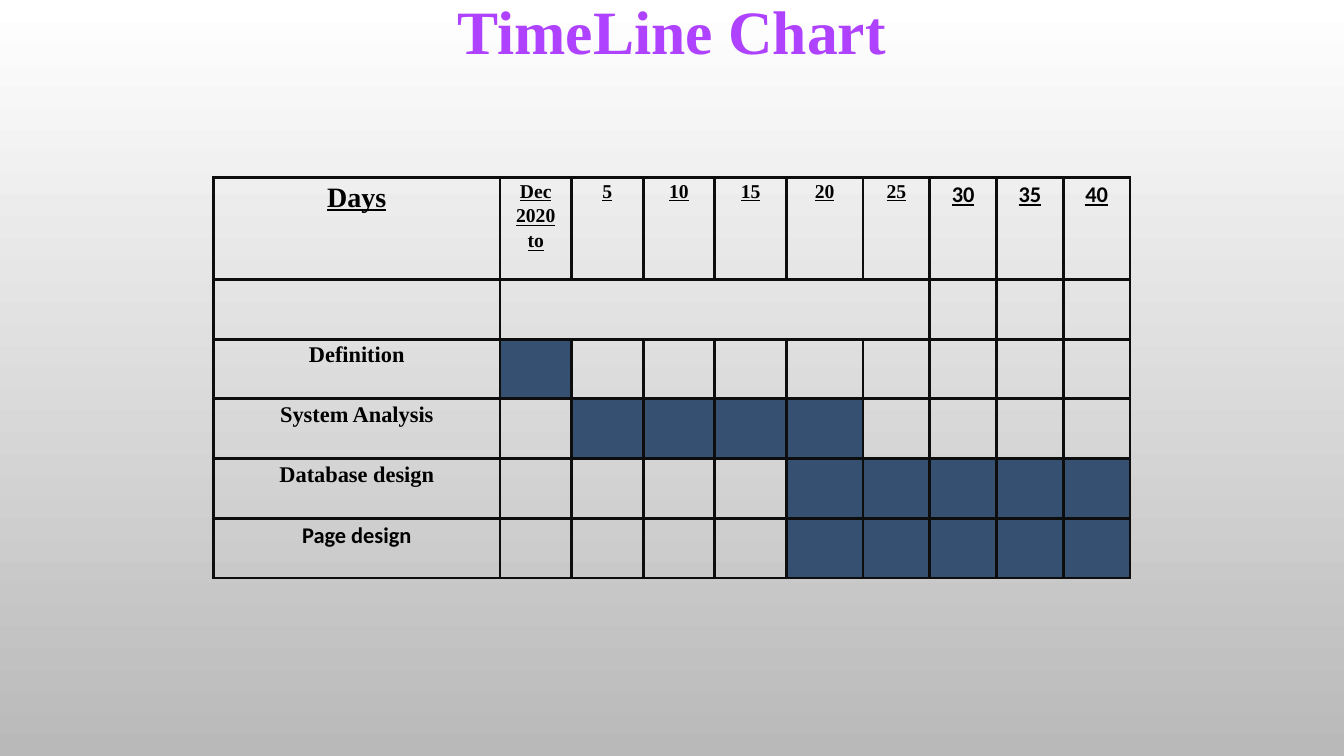
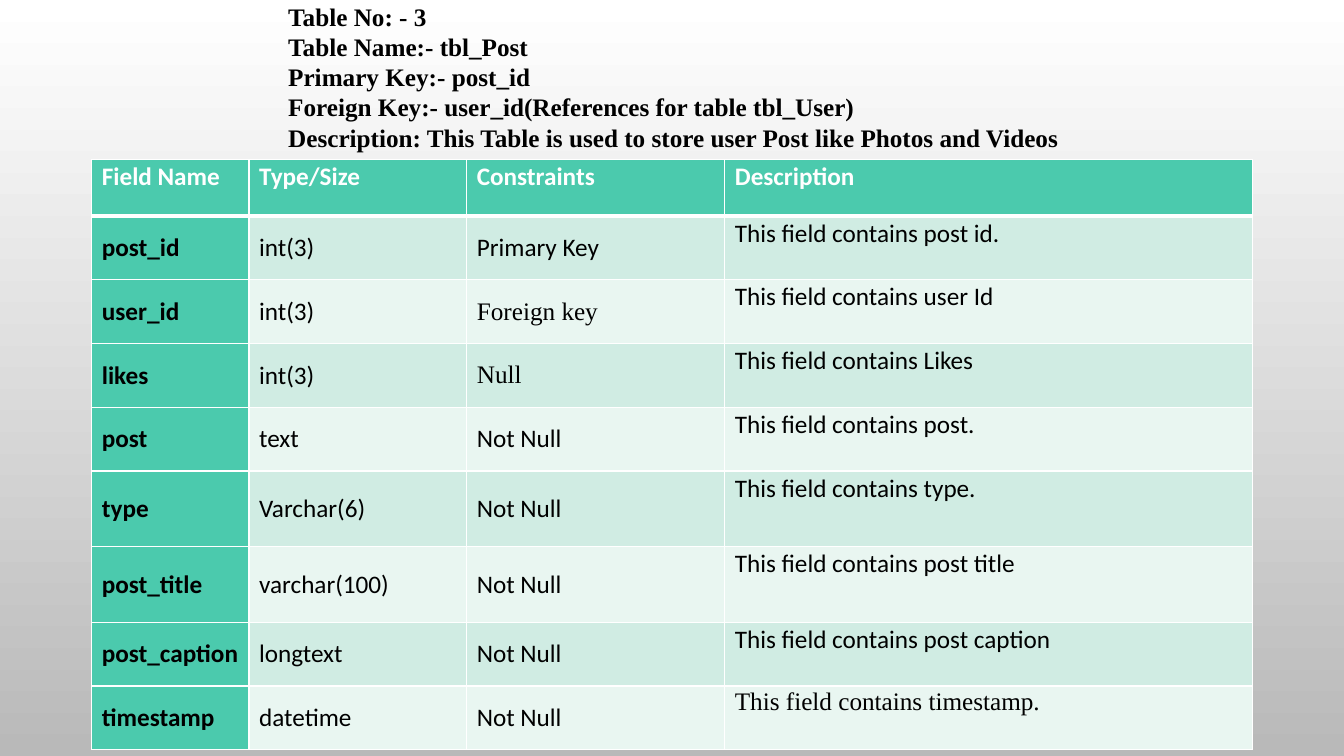
import dataclasses
import typing

import pptx
import pptx.dml.color
import pptx.enum.text
import pptx.oxml
import pptx.oxml.ns
import pptx.util

SLIDE_WIDTH = pptx.util.Inches(13.33)
SLIDE_HEIGHT = pptx.util.Inches(7.5)
SERIF = "Times New Roman"
SANS = "Calibri"
COLOURS = {
    "sky": "FFFFFF",
    "ground": "B9B9B9",
    "title": "AE42FF",
    "ink": "000000",
    "grid": "0D0D0D",
    "busy": "355071",
    "white": "FFFFFF",
    "key": "4BCAAD",
    "odd": "D0ECE3",
    "even": "E9F6F1",
}
CENTRE = pptx.enum.text.PP_ALIGN.CENTER
MIDDLE = pptx.enum.text.MSO_ANCHOR.MIDDLE


@dataclasses.dataclass(frozen=True)
class Style:
    size: int
    name: str = SERIF
    bold: bool = True
    underline: bool = False
    colour: str = "ink"
    paragraph: dict = dataclasses.field(default_factory=dict)
    cell: dict = dataclasses.field(default_factory=dict)


@dataclasses.dataclass(frozen=True)
class Entry:
    text: str = ""
    style: typing.Optional[Style] = None
    fill: typing.Optional[str] = None


@dataclasses.dataclass(frozen=True)
class Frame:
    left: float
    top: float
    width: float = 0
    height: float = 0


def across(percent: float) -> int:
    return round(SLIDE_WIDTH * percent / 100)


def down(percent: float) -> int:
    return round(SLIDE_HEIGHT * percent / 100)


def rgb(colour: str) -> pptx.dml.color.RGBColor:
    return pptx.dml.color.RGBColor.from_string(COLOURS[colour])


def apply(target, values: dict) -> None:
    for attribute, value in values.items():
        setattr(target, attribute, value)


def write(paragraph, text: str, style: Style) -> None:
    apply(paragraph, style.paragraph)
    run = paragraph.add_run()
    run.text = text
    apply(run.font, {
        "size": pptx.util.Pt(style.size),
        "name": style.name,
        "bold": style.bold,
        "underline": style.underline,
    })
    run.font.color.rgb = rgb(style.colour)


def add_heading(slide, frame: Frame, lines: list[str], style: Style) -> None:
    heading = slide.shapes.add_textbox(
        across(frame.left), down(frame.top), across(frame.width), down(frame.height))
    text_frame = heading.text_frame
    apply(text_frame, {
        "word_wrap": True,
        "auto_size": pptx.enum.text.MSO_AUTO_SIZE.SHAPE_TO_FIT_TEXT,
    })
    for index, line in enumerate(lines):
        paragraph = text_frame.add_paragraph() if index else text_frame.paragraphs[0]
        write(paragraph, line, style)


def add_border(cell, colour: str, widths: dict[str, float]) -> None:
    properties = cell._tc.get_or_add_tcPr()
    for side, width in widths.items():
        properties.append(pptx.oxml.parse_xml(
            f'<a:ln{side} {pptx.oxml.ns.nsdecls("a")} w="{pptx.util.Pt(width)}">'
            f'<a:solidFill><a:srgbClr val="{COLOURS[colour]}"/></a:solidFill>'
            f'</a:ln{side}>'))


def borders(width: float, bottom: float) -> dict[str, float]:
    return {"L": width, "R": width, "T": width, "B": bottom}


def add_grid(slide, corner: Frame, columns: list[float], rows: list[float],
             entries: list[list[Entry]], line: str, width: float,
             header_line: float):
    table = slide.shapes.add_table(
        len(rows), len(columns), across(corner.left), down(corner.top),
        across(sum(columns)), down(sum(rows))).table
    apply(table, {"first_row": False, "horz_banding": False})
    for column, share in zip(table.columns, columns):
        column.width = across(share)
    for row, share in zip(table.rows, rows):
        row.height = down(share)
    for row_index, row_entries in enumerate(entries):
        bottom = width if row_index else header_line
        top = header_line if row_index == 1 else width
        for column_index, entry in enumerate(row_entries):
            cell = table.cell(row_index, column_index)
            add_border(cell, line, borders(width, bottom) | {"T": top})
            if entry.fill:
                cell.fill.solid()
                cell.fill.fore_color.rgb = rgb(entry.fill)
            else:
                cell.fill.background()
            if entry.style:
                apply(cell, entry.style.cell)
                write(cell.text_frame.paragraphs[0], entry.text, entry.style)
    return table


def flush(side: float) -> dict:
    inset = pptx.util.Inches(side)
    return {"margin_left": inset, "margin_right": inset,
            "margin_top": 0, "margin_bottom": 0}


TASK = Style(16, paragraph={"alignment": CENTRE, "line_spacing": 1.15},
             cell=flush(0.07))
DAYS = dataclasses.replace(TASK, size=20, underline=True)
EARLY_DAY = dataclasses.replace(DAYS, size=14)
LATE_DAY = dataclasses.replace(DAYS, size=16, name=SANS)
NOTE = Style(18, SANS, False, cell=flush(0.1),
             paragraph={"line_spacing": 1.07, "space_after": pptx.util.Pt(8)})
FIELD_HEADER = dataclasses.replace(NOTE, bold=True, colour="white")
VALUE = Style(18, SANS, False, cell={"vertical_anchor": MIDDLE})
FIELD = dataclasses.replace(VALUE, bold=True)

EARLY_DAYS = ["Dec 2020 to", "5", "10", "15", "20", "25"]
LATE_DAYS = ["30", "35", "40"]
PERIODS = len(EARLY_DAYS + LATE_DAYS)
TASKS = [
    ("Definition", SERIF, range(0, 1)),
    ("System Analysis", SERIF, range(1, 5)),
    ("Database design", SERIF, range(4, 9)),
    ("Page design", SANS, range(4, 9)),
]
FIELD_HEADERS = ["Field Name", "Type/Size", "Constraints", "Description"]
FIELDS = [
    ("post_id", "int(3)", "Primary Key", "This field contains post id."),
    ("user_id", "int(3)", "Foreign key", "This field contains user Id"),
    ("likes", "int(3)", "Null", "This field contains Likes"),
    ("post", "text", "Not Null", "This field contains post."),
    ("type", "Varchar(6)", "Not Null", "This field contains type."),
    ("post_title", "varchar(100)", "Not Null", "This field contains post title"),
    ("post_caption", "longtext", "Not Null", "This field contains post caption"),
    ("timestamp", "datetime", "Not Null", "This field contains timestamp."),
]
SERIF_TEXTS = {"Foreign key", "Null", "This field contains timestamp."}
TALL_FIELDS = {"type", "post_title"}


def set_backdrop(master) -> None:
    fill = master.background.fill
    fill.gradient()
    fill.gradient_angle = 270
    for stop, colour in zip(fill.gradient_stops, ("sky", "ground")):
        stop.color.rgb = rgb(colour)


def build_timeline(slide) -> None:
    add_heading(slide, Frame(18.83, -1.6, 62.34, 11.2), ["TimeLine Chart"],
                Style(44, colour="title", paragraph={"alignment": CENTRE}))
    entries = [
        [Entry("Days", DAYS)]
        + [Entry(day, EARLY_DAY) for day in EARLY_DAYS]
        + [Entry(day, LATE_DAY) for day in LATE_DAYS],
        [Entry()] * (PERIODS + 1),
    ]
    for task, font, busy in TASKS:
        entries.append(
            [Entry(task, dataclasses.replace(TASK, name=font))]
            + [Entry(fill="busy" if period in busy else None)
               for period in range(PERIODS)])
    table = add_grid(slide, Frame(15.9, 23.47),
                     [21.3] + [5.33] * 4 + [5.7] + [4.97] * 4,
                     [13.5] + [7.9] * 5, entries, "grid", 2.25, 2.25)
    table.cell(1, 1).merge(table.cell(1, len(EARLY_DAYS)))


def build_post_table(slide) -> None:
    add_heading(slide, Frame(20.71, -0.53, 65.19, 21.6), [
        "Table No: - 3",
        "Table Name:- tbl_Post",
        "Primary Key:- post_id",
        "Foreign Key:- user_id(References for table tbl_User)",
        "Description: This Table is used to store user Post like Photos and Videos",
    ], Style(18))
    entries = [[Entry(text, FIELD_HEADER, "key") for text in FIELD_HEADERS]]
    for index, texts in enumerate(FIELDS):
        band = "even" if index % 2 else "odd"
        entries.append([
            Entry(text,
                  dataclasses.replace(style, name=SERIF if text in SERIF_TEXTS else SANS),
                  fill)
            for text, style, fill in zip(
                texts, (FIELD, VALUE, VALUE, NOTE), ("key", band, band, band))])
    rows = [7.5] + [10 if field[0] in TALL_FIELDS else 8.44 for field in FIELDS]
    add_grid(slide, Frame(6.83, 21.07), [11.7, 16.2, 19.2, 39.24], rows,
             entries, "white", 1, 3)


def main() -> None:
    presentation = pptx.Presentation()
    apply(presentation, {"slide_width": SLIDE_WIDTH, "slide_height": SLIDE_HEIGHT})
    set_backdrop(presentation.slide_master)
    for build in (build_timeline, build_post_table):
        build(presentation.slides.add_slide(presentation.slide_layouts[6]))
    presentation.save("out.pptx")


if __name__ == "__main__":
    main()
